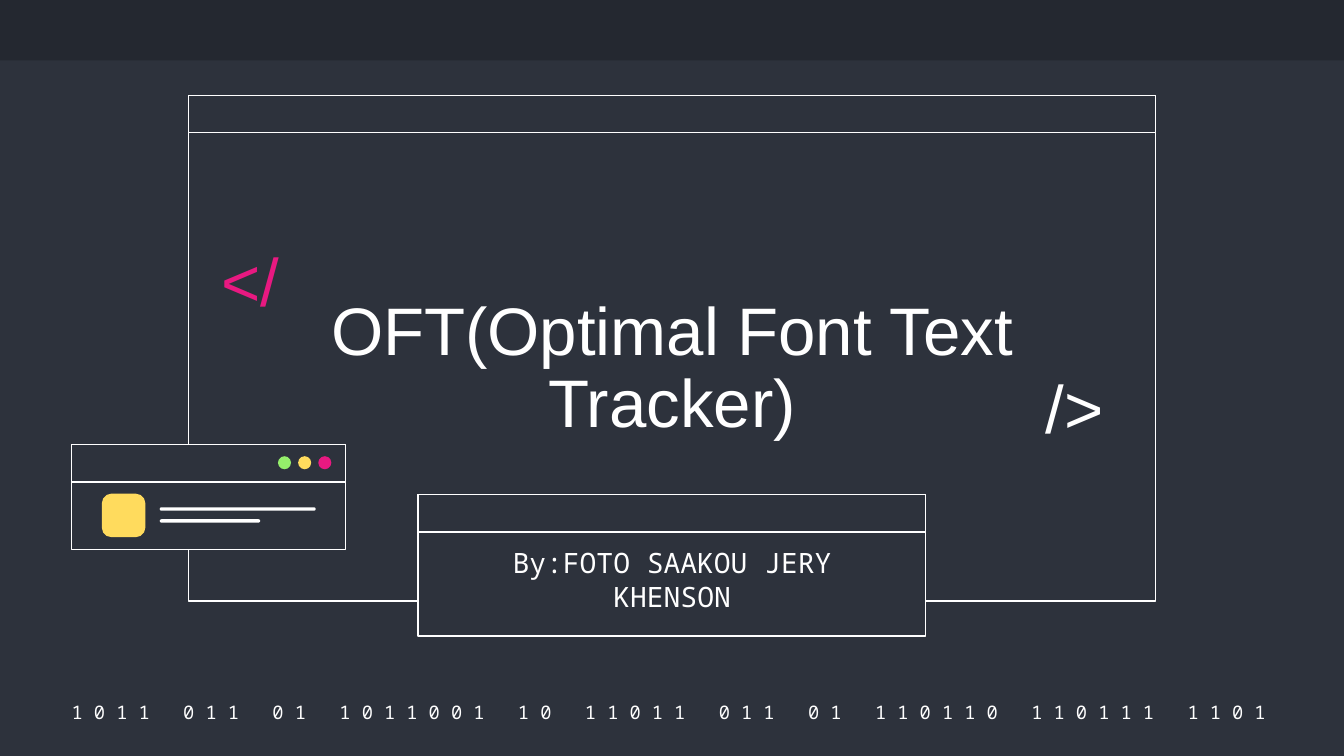
from dataclasses import dataclass

from pptx import Presentation
from pptx.dml.color import RGBColor
from pptx.enum.shapes import MSO_SHAPE as Form
from pptx.enum.text import MSO_ANCHOR as Anchor, PP_ALIGN as Align
from pptx.shapes.autoshape import Shape
from pptx.slide import Slide
from pptx.util import Pt

DARK, DEEP, WHITE = "2D323C", "242830", "FFFFFF"
PINK, GOLD, GREEN = "E81981", "FFDB5D", "94EE6B"
SANS, MONO = "Arial", "Noto Sans Mono"
BAR = 20


@dataclass
class Box:
    x: float
    y: float
    w: float
    h: float


@dataclass
class Tag:
    text: str
    box: Box
    color: str


def tint(code: str) -> RGBColor:
    return RGBColor.from_string(code)


def draw(slide: Slide, form: Form, box: Box, fill: str, line: str = "") -> Shape:
    shape = slide.shapes.add_shape(form, Pt(box.x), Pt(box.y), Pt(box.w), Pt(box.h))
    shape.shadow.inherit = False
    shape.fill.solid()
    shape.fill.fore_color.rgb = tint(fill)
    if line:
        shape.line.color.rgb = tint(line)
        shape.line.width = Pt(0.75)
    else:
        shape.line.fill.background()
    return shape


def window(slide: Slide, box: Box) -> None:
    draw(slide, Form.RECTANGLE, box, DARK, WHITE)
    draw(slide, Form.RECTANGLE, Box(box.x, box.y, box.w, BAR), DARK, WHITE)


def write(slide: Slide, text: str, box: Box, *, size: float, font: str,
          color: str = WHITE, align: Align = Align.CENTER,
          anchor: Anchor = Anchor.MIDDLE, space: float = 1.0) -> None:
    frame = slide.shapes.add_textbox(Pt(box.x), Pt(box.y), Pt(box.w), Pt(box.h)).text_frame
    frame.word_wrap = True
    frame.vertical_anchor = anchor
    frame.margin_left = frame.margin_right = Pt(7.2)
    frame.margin_top = frame.margin_bottom = Pt(7.2)
    par = frame.paragraphs[0]
    par.alignment = align
    par.line_spacing = space
    run = par.add_run()
    run.text = text
    run.font.size = Pt(size)
    run.font.name = font
    run.font.color.rgb = tint(color)


def card(slide: Slide, box: Box) -> None:
    window(slide, box)
    icon = draw(slide, Form.ROUNDED_RECTANGLE, Box(box.x + 16.4, box.y + 26.3, 23.3, 23.3), GOLD)
    icon.adjustments[0] = 0.22
    for row, width in enumerate((83.5, 53.8)):
        bar = Box(box.x + 47.4, box.y + 33.6 + row * 6.4, width, 1.8)
        draw(slide, Form.ROUNDED_RECTANGLE, bar, WHITE).adjustments[0] = 0.5
    for col, color in enumerate((GREEN, GOLD, PINK)):
        draw(slide, Form.OVAL, Box(box.x + 110.7 + col * 10.8, box.y + 6.2, 7, 7), color)


def main() -> None:
    deck = Presentation()
    deck.slide_width, deck.slide_height = Pt(720), Pt(405)
    slide = deck.slides.add_slide(deck.slide_layouts[6])
    slide.background.fill.solid()
    slide.background.fill.fore_color.rgb = tint(DARK)

    draw(slide, Form.RECTANGLE, Box(0, 0, 720, 32.4), DEEP)
    words = "1011 011 01 1011001 10 11011 011 01 110110 110111 1101".split()
    bits = "   ".join(" ".join(word) for word in words) + " "
    write(slide, bits, Box(27.4, 374.4, 667.4, 14.4), size=10, font=MONO)

    window(slide, Box(101, 51.2, 518, 270.8))
    window(slide, Box(224, 265, 271.8, 75.7))

    tags = (Tag("</", Box(111.6, 128.9, 55.4, 47.5), PINK),
            Tag("/>", Box(553, 196.6, 55.4, 47.5), WHITE))
    for tag in tags:
        write(slide, tag.text, tag.box, size=36, font=SANS, color=tag.color,
              align=Align.LEFT, space=0.9)
    write(slide, "OFT(Optimal Font Text Tracker)", Box(162.4, 101.5, 395.3, 142.6),
          size=36, font=SANS, anchor=Anchor.BOTTOM, space=0.9)
    write(slide, "By:FOTO SAAKOU JERY KHENSON", Box(240.2, 285.1, 239.8, 56.2),
          size=15, font=MONO, anchor=Anchor.TOP)

    card(slide, Box(38.2, 238.2, 147, 56.2))
    deck.save("out.pptx")


if __name__ == "__main__":
    main()
